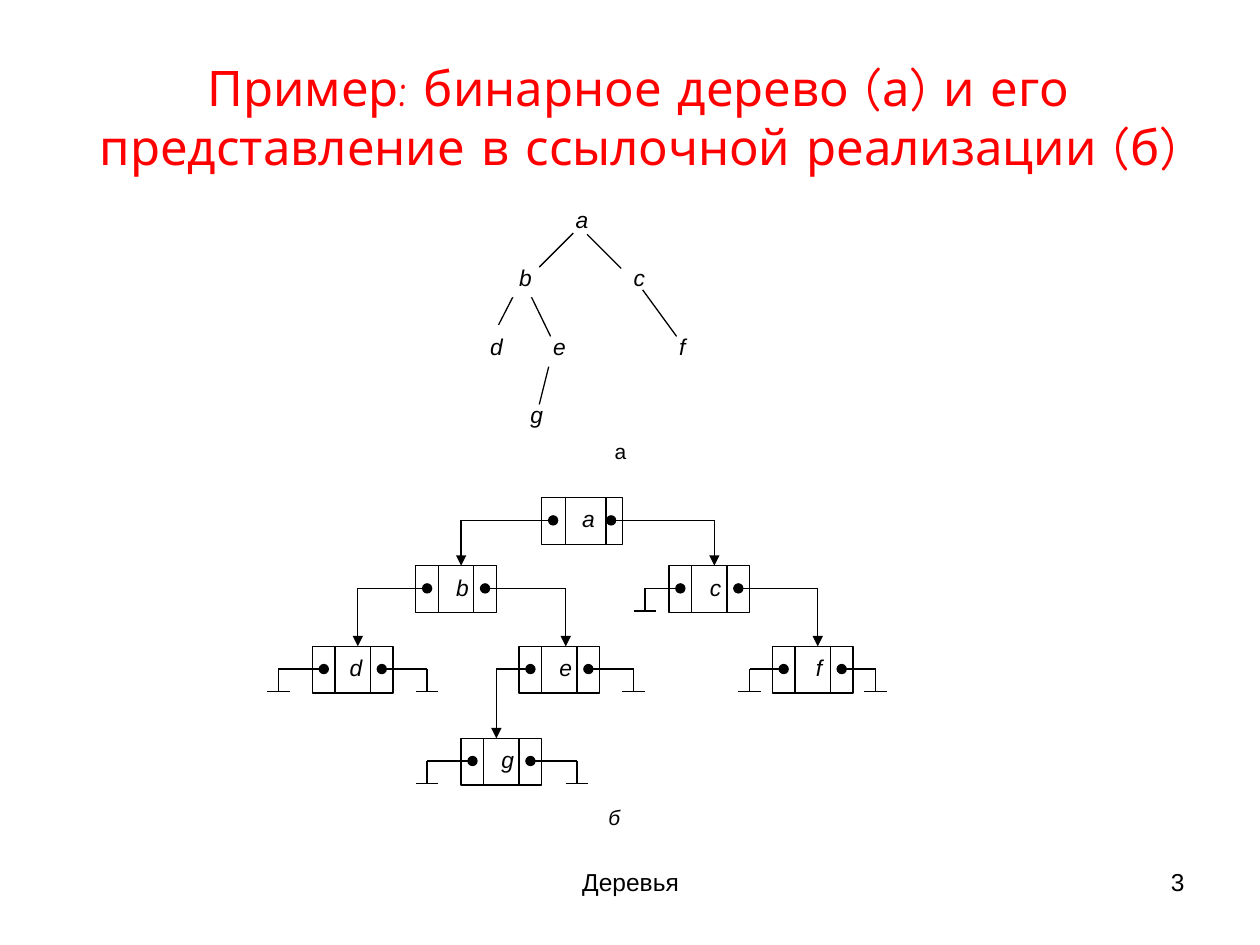
from pptx import Presentation
from pptx.dml.color import RGBColor
from pptx.enum.shapes import MSO_CONNECTOR as Link, MSO_SHAPE as Shape
from pptx.enum.text import MSO_ANCHOR as Anchor, MSO_AUTO_SIZE as Fit, PP_ALIGN as Align
from pptx.oxml.ns import qn
from pptx.util import Inches, Pt
from lxml.etree import SubElement

BLACK, WHITE, RED = "000000", "FFFFFF", "FF0000"
CELL_W, CELL_H = 0.64, 0.37
DOT_Y, LEFT_DOT, RIGHT_DOT = 0.18, 0.09, 0.55
LABEL_W, LABEL_H = 0.27, 0.33
GROUND_DROP, GROUND_HALF = 0.18, 0.09

TREE = [
    ("g", 4.10, 3.12),
    (4.37, 2.85, 4.28, 3.21),
    ("e", 4.28, 2.58),
    (4.10, 2.30, 3.91, 2.67),
    (4.19, 2.30, 4.37, 2.67),
    ("f", 5.28, 2.58),
    ("b", 4.01, 2.03),
    ("c", 4.92, 2.03),
    ("a", 4.46, 1.57),
    (4.55, 1.85, 4.28, 2.12),
    (4.66, 1.86, 4.93, 2.13),
    (5.10, 2.30, 5.37, 2.67),
    ("d", 3.78, 2.58),
]

CELLS = {
    "a": (4.30, 3.95, (0.19, 0.51)),
    "b": (3.30, 4.49, (0.18, 0.46)),
    "c": (5.31, 4.49, (0.18, 0.46)),
    "d": (2.48, 5.13, (0.18, 0.46)),
    "e": (4.12, 5.13, (0.18, 0.46)),
    "f": (6.13, 5.13, (0.18, 0.46)),
    "g": (3.66, 5.86, (0.18, 0.46)),
}

POINTERS = [
    ("a", LEFT_DOT, 3.66, "b"), ("a", RIGHT_DOT, 5.67, "c"),
    ("b", LEFT_DOT, 2.84, "d"), ("b", RIGHT_DOT, 4.49, "e"),
    ("c", LEFT_DOT, 5.12, None), ("c", RIGHT_DOT, 6.49, "f"),
    ("d", LEFT_DOT, 2.21, None), ("d", RIGHT_DOT, 3.39, None),
    ("e", LEFT_DOT, 3.94, "g"), ("e", RIGHT_DOT, 5.03, None),
    ("f", LEFT_DOT, 5.95, None), ("f", RIGHT_DOT, 6.95, None),
    ("g", LEFT_DOT, 3.39, None), ("g", RIGHT_DOT, 4.58, None),
]


def color(value):
    """Turn a hex string into a colour."""
    return RGBColor.from_string(value)


def apply(target, values):
    """Set every attribute in a dict of format values."""
    for name, value in values.items():
        setattr(target, name, value)


def write(box, text, size, align=Align.CENTER, font="Arial", ink=BLACK,
          italic=False, anchor=Anchor.TOP, insets=(0.1, 0.05, 0.1, 0.05)):
    """Put one formatted paragraph into a box."""
    frame = box.text_frame
    left, top, right, bottom = map(Inches, insets)
    apply(frame, {"word_wrap": True, "auto_size": Fit.NONE, "vertical_anchor": anchor,
                  "margin_left": left, "margin_top": top,
                  "margin_right": right, "margin_bottom": bottom})
    para = frame.paragraphs[0]
    para.alignment = align
    span = para.add_run()
    span.text = text
    apply(span.font, {"name": font, "size": Pt(size), "italic": italic})
    span.font.color.rgb = color(ink)


def add_title(page, text):
    """Fill and place the title placeholder."""
    title = page.shapes.title
    apply(title, {"left": Inches(0.5), "top": Inches(0.3),
                  "width": Inches(9.13), "height": Inches(1.25)})
    write(title, text, 28, font="Comic Neue", ink=RED, anchor=Anchor.MIDDLE)


def add_footer(page, text, left, width, align):
    """Add a text box on the footer row."""
    box = page.shapes.add_textbox(*map(Inches, (left, 6.83, width, 0.52)))
    write(box, text, 14, align)


def add_box(page, left, top, width, height, outlined=False):
    """Add a white rectangle, with or without an outline."""
    box = page.shapes.add_shape(Shape.RECTANGLE, *map(Inches, (left, top, width, height)))
    box.shadow.inherit = False
    box.fill.solid()
    box.fill.fore_color.rgb = color(WHITE)
    if outlined:
        box.line.color.rgb = color(BLACK)
        box.line.width = Pt(0.75)
    else:
        box.line.fill.background()
    return box


def add_line(page, x1, y1, x2, y2, head=None, tail=None):
    """Add a thin black line with optional end marks."""
    line = page.shapes.add_connector(Link.STRAIGHT, *map(Inches, (x1, y1, x2, y2)))
    line.line.color.rgb = color(BLACK)
    line.line.width = Pt(0.75)
    stroke = line.line._get_or_add_ln()
    for tag, mark in (("a:headEnd", head), ("a:tailEnd", tail)):
        if mark:
            SubElement(stroke, qn(tag), type=mark)
    SubElement(line._element.spPr, qn("a:effectLst"))


def add_tree(page):
    """Draw the letters and branches of the tree, back to front."""
    for item in TREE:
        if isinstance(item[0], str):
            letter, left, top = item
            box = add_box(page, left, top, LABEL_W, LABEL_H)
            write(box, letter, 13, italic=True, insets=(0.11, 0.06, 0.11, 0.06))
        else:
            add_line(page, *item)


def add_cell(page, letter, left, top, dividers):
    """Draw a record with two link fields and a letter."""
    box = add_box(page, left, top, CELL_W, CELL_H, outlined=True)
    indent = 0.16 if letter == "d" else 0.21
    write(box, letter, 13, italic=True, insets=(indent, 0.06, 0.11, 0.06))
    for offset in dividers:
        add_line(page, left + offset, top, left + offset, top + CELL_H)


def add_pointer(page, parent, dot, x, child):
    """Draw a link from a record to its child or to a ground sign."""
    left, top, _ = CELLS[parent]
    y = top + DOT_Y
    add_line(page, left + dot, y, x, y, head="oval")
    if child:
        add_line(page, x, y, x, CELLS[child][1], tail="triangle")
    else:
        ground = y + GROUND_DROP
        add_line(page, x, y, x, ground)
        add_line(page, x - GROUND_HALF, ground, x + GROUND_HALF, ground)


def add_caption(page, text, left, top, italic):
    """Add the letter under a figure."""
    write(add_box(page, left, top, 0.37, 0.3), text, 12, italic=italic)


def main():
    """Build the slide and save the deck."""
    deck = Presentation()
    apply(deck, {"slide_width": Inches(10), "slide_height": Inches(7.5)})
    page = deck.slides.add_slide(deck.slide_layouts[5])
    add_title(page, "Пример: бинарное дерево (а) и его представление в ссылочной реализации (б)")
    add_footer(page, "Деревья", 3.42, 3.17, Align.CENTER)
    add_footer(page, "3", 7.17, 2.33, Align.RIGHT)
    for letter, place in CELLS.items():
        add_cell(page, letter, *place)
    for pointer in POINTERS:
        add_pointer(page, *pointer)
    add_tree(page)
    add_caption(page, "а", 4.74, 3.43, False)
    add_caption(page, "б", 4.69, 6.34, True)
    deck.save("out.pptx")


if __name__ == "__main__":
    main()
